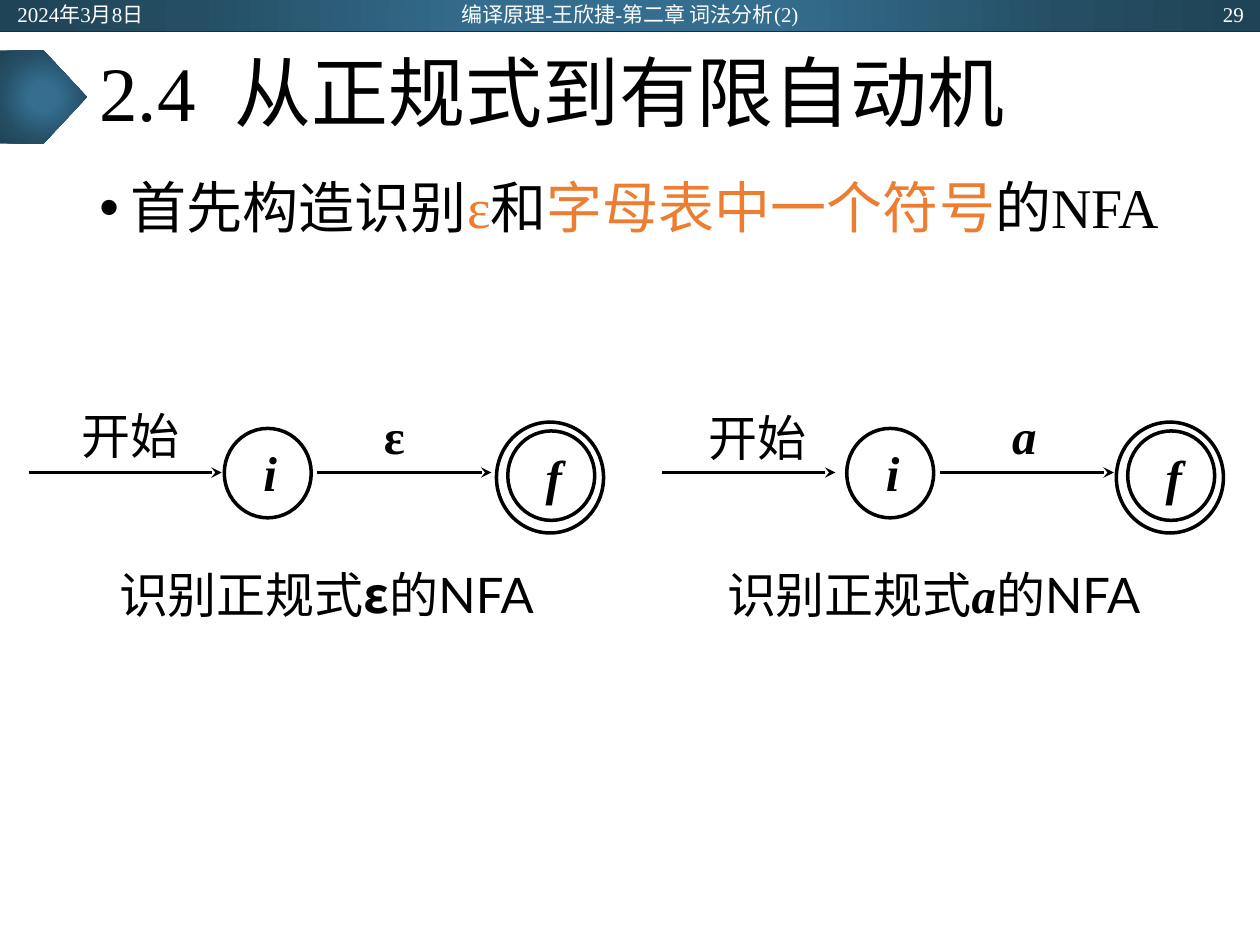
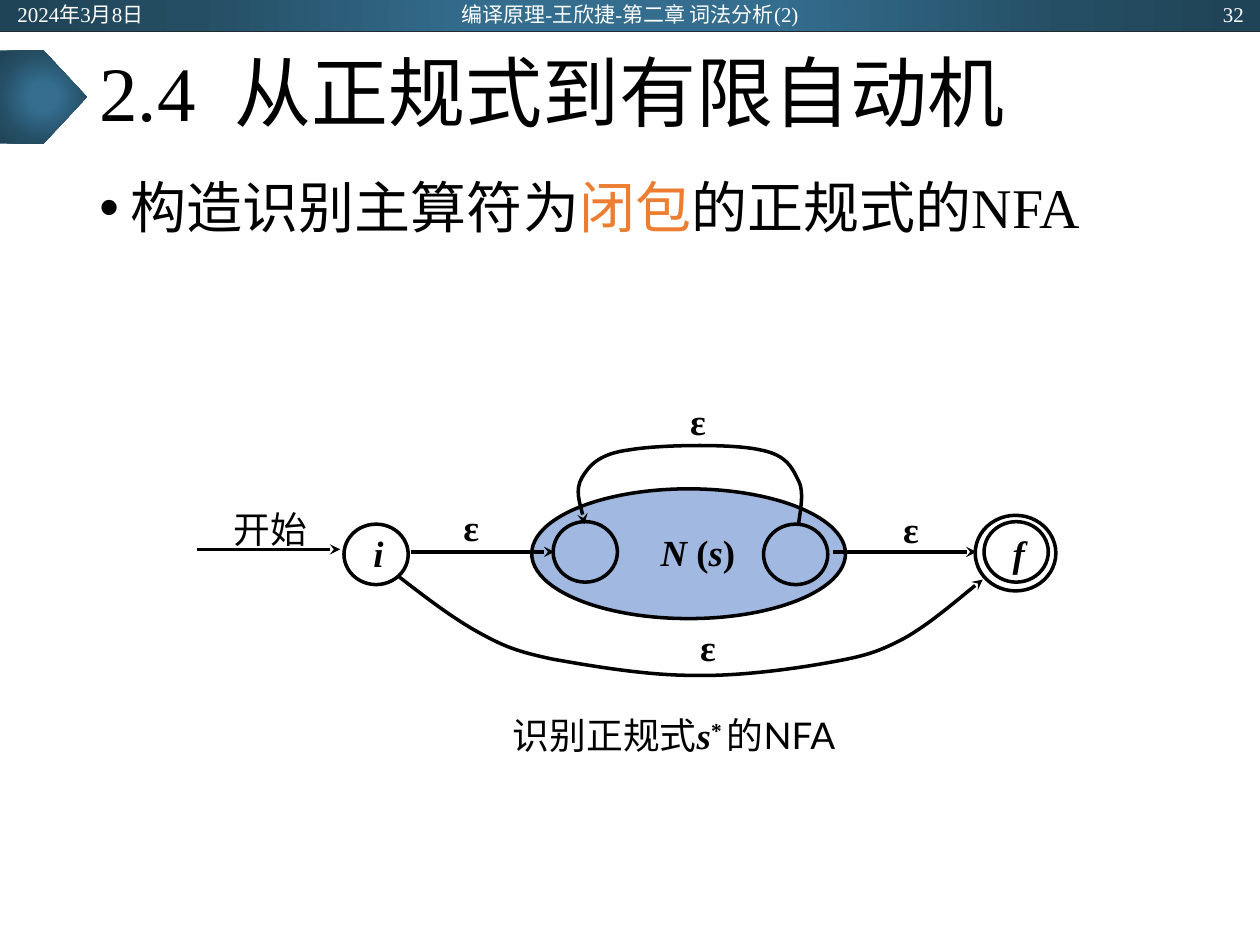
"""Build two lecture slides on turning regular expressions into automata."""
from dataclasses import dataclass

from lxml import etree
from pptx import Presentation
from pptx.dml.color import RGBColor
from pptx.enum.shapes import MSO_CONNECTOR, MSO_SHAPE
from pptx.enum.text import MSO_ANCHOR, PP_ALIGN
from pptx.oxml.ns import qn
from pptx.util import Inches, Pt

BLACK = RGBColor(0x00, 0x00, 0x00)
WHITE = RGBColor(0xFF, 0xFF, 0xFF)
ORANGE = RGBColor(0xED, 0x7D, 0x31)
BLUE = RGBColor(0x44, 0x72, 0xC4)
NAVY = RGBColor(0x22, 0x2A, 0x35)
BAND_STOPS = ((0, "346D8E"), (23, "346D8E"), (69, "254E64"), (97, "204457"))

SERIF = "Times New Roman"
CJK = "Noto Sans CJK SC"
LATO = "Lato"

LEFT, CENTER, RIGHT = PP_ALIGN.LEFT, PP_ALIGN.CENTER, PP_ALIGN.RIGHT
TOP, MIDDLE = MSO_ANCHOR.TOP, MSO_ANCHOR.MIDDLE
OVAL, RECTANGLE, PENTAGON = MSO_SHAPE.OVAL, MSO_SHAPE.RECTANGLE, MSO_SHAPE.PENTAGON
STRAIGHT = MSO_CONNECTOR.STRAIGHT

FRAME_INSETS = (0.1, 0.05, 0.1, 0.05)
LABEL_INSETS = (0.04, 0.02, 0.04, 0.02)
SYMBOL_INSETS = (0.06, 0.02, 0.07, 0.04)
START_INSETS = (0.06, 0.02, 0.02, 0.04)
FINAL_INSETS = (0.06, 0.02, 0.02, 0.01)


@dataclass(frozen=True)
class Span:
    """A stretch of text in one style."""

    text: str
    font: str = SERIF
    color: RGBColor = BLACK
    bold: bool = False
    italic: bool = False
    raised: bool = False
    spacing: int = 0


@dataclass(frozen=True)
class Area:
    """A rectangle in inches."""

    left: float
    top: float
    width: float
    height: float

    def lengths(self) -> tuple:
        """Return the rectangle as lengths."""
        return tuple(Inches(v) for v in (self.left, self.top, self.width, self.height))


@dataclass(frozen=True)
class Label:
    """A centred text of a diagram."""

    area: Area
    spans: tuple
    insets: tuple = LABEL_INSETS


@dataclass(frozen=True)
class Arrow:
    """A level arrow from left to right."""

    left: float
    right: float
    y: float


@dataclass(frozen=True)
class Automaton:
    """A basic automaton that accepts one symbol."""

    start_label: Area
    start_arrow: Arrow
    start_left: float
    final_left: float
    symbol_left: float
    caption_left: float
    symbol: Span
    caption_symbol: Span


TITLE = (Span("2.4"), Span(" ", spacing=1100), Span("从正规式到有限自动机"))
START = (Span("开始"),)
EPSILON = Span("ε", bold=True)
LETTER_A = Span("a", bold=True, italic=True)
CAPTION_HEAD = Span("识别正规式", CJK)
CAPTION_TAIL = (Span("的", CJK), Span("NFA", LATO))

AUTOMATA = (
    Automaton(Area(0.38, 3.12, 1.31, 0.67), Arrow(0.23, 1.76, 3.75),
              1.78, 3.94, 2.85, 0.03, EPSILON, Span("ε", CJK, bold=True)),
    Automaton(Area(5.37, 3.12, 1.29, 0.7), Arrow(5.25, 6.63, 3.75),
              6.72, 8.86, 7.85, 4.85, LETTER_A, LETTER_A),
)

CLOSURE_ARROWS = tuple(Arrow(left, left + 1.14, y)
                       for left, y in ((1.56, 4.36), (3.26, 4.38), (6.61, 4.38)))
EPSILON_PLACES = ((3.5, 3.97), (5.38, 4.92), (6.99, 3.99), (5.3, 3.13))
SKIP_CURVE = (
    (3.17, 4.58), (3.39, 4.75), (3.6, 4.91), (3.8, 5.02), (4, 5.13), (4.1, 5.17),
    (4.38, 5.23), (4.66, 5.28), (5.12, 5.36), (5.49, 5.36), (5.85, 5.37), (6.29, 5.31),
    (6.57, 5.26), (6.85, 5.21), (6.96, 5.18), (7.17, 5.07), (7.37, 4.96), (7.67, 4.7),
    (7.8, 4.6),
)
REPEAT_CURVE = (
    (6.34, 4.16), (6.34, 4.1), (6.39, 3.92), (6.34, 3.82), (6.29, 3.72), (6.25, 3.61),
    (6.03, 3.57), (5.81, 3.52), (5.23, 3.53), (5, 3.57), (4.76, 3.6), (4.68, 3.69),
    (4.62, 3.79), (4.56, 3.89), (4.63, 4.08), (4.64, 4.16),
)


def write(shape, spans: tuple, size: float, align=CENTER, insets: tuple = FRAME_INSETS,
          anchor=MIDDLE, line_spacing: float = 1.0):
    """Write one paragraph into a shape and return it."""
    frame = shape.text_frame
    frame.word_wrap = True
    frame.vertical_anchor = anchor
    (frame.margin_left, frame.margin_top,
     frame.margin_right, frame.margin_bottom) = map(Inches, insets)
    para = frame.paragraphs[0]
    para.alignment = align
    para.line_spacing = line_spacing
    for span in spans:
        run = para.add_run()
        run.text = span.text
        font = run.font
        font.name, font.size, font.color.rgb = span.font, Pt(size), span.color
        font.bold, font.italic = span.bold, span.italic
        properties = run._r.get_or_add_rPr()
        etree.SubElement(properties, qn("a:ea"), typeface=CJK)
        if span.raised:
            properties.set("baseline", "30000")
        if span.spacing:
            properties.set("spc", str(span.spacing))
    return para


def add_text(page, area: Area, spans: tuple, size: float, **style):
    """Add a text box with one paragraph and return the paragraph."""
    return write(page.shapes.add_textbox(*area.lengths()), spans, size, **style)


def add_label(page, label: Label, size: float) -> None:
    """Add a centred diagram label."""
    add_text(page, label.area, label.spans, size, insets=label.insets)


def add_tail(line) -> None:
    """Put an arrowhead on the end of a line."""
    etree.SubElement(line._get_or_add_ln(), qn("a:tailEnd"), type="stealth")


def add_line(page, arrow: Arrow, color: RGBColor = BLACK, width: float = 2,
             head: bool = True) -> None:
    """Add a level line, with or without an arrowhead."""
    y = Inches(arrow.y)
    line = page.shapes.add_connector(STRAIGHT, Inches(arrow.left), y, Inches(arrow.right), y)
    line.line.color.rgb = color
    line.line.width = Pt(width)
    if head:
        add_tail(line.line)
    etree.SubElement(line._element.spPr, qn("a:effectLst"))


def add_curve(page, points: tuple) -> None:
    """Add an arrow along cubic curves given by anchor and control points."""
    start, *rest = [(Inches(x), Inches(y)) for x, y in points]
    builder = page.shapes.build_freeform(*start)
    builder.add_line_segments(rest, close=False)
    curve = builder.convert_to_shape()
    outline = curve._element.spPr.find(".//" + qn("a:path"))
    segments = outline.findall(qn("a:lnTo"))
    for index in range(0, len(segments), 3):
        bend = etree.SubElement(outline, qn("a:cubicBezTo"))
        for segment in segments[index:index + 3]:
            bend.append(segment[0])
            outline.remove(segment)
    curve.shadow.inherit = False
    curve.fill.background()
    curve.line.color.rgb = BLACK
    curve.line.width = Pt(2)
    add_tail(curve.line)


def add_oval(page, area: Area):
    """Add an outlined ellipse and return it."""
    oval = page.shapes.add_shape(OVAL, *area.lengths())
    oval.shadow.inherit = False
    oval.fill.background()
    oval.line.color.rgb = BLACK
    oval.line.width = Pt(2)
    return oval


def add_state(page, area: Area, name: str, size: float, insets: tuple) -> None:
    """Add a named state circle."""
    write(add_oval(page, area), (Span(name, bold=True, italic=True),), size, insets=insets)


def add_band(page, kind, area: Area) -> None:
    """Add a shape with the radial band gradient."""
    band = page.shapes.add_shape(kind, *area.lengths())
    band.shadow.inherit = False
    band.line.fill.background()
    band.fill.gradient()
    gradient = band._element.spPr.find(qn("a:gradFill"))
    for child in list(gradient):
        gradient.remove(child)
    stops = etree.SubElement(gradient, qn("a:gsLst"))
    for position, color in BAND_STOPS:
        stop = etree.SubElement(stops, qn("a:gs"), pos=str(position * 1000))
        etree.SubElement(stop, qn("a:srgbClr"), val=color)
    radial = etree.SubElement(gradient, qn("a:path"), path="circle")
    etree.SubElement(radial, qn("a:fillToRect"), l="50000", t="50000", r="50000", b="50000")


def add_page(deck, number: str, topic: tuple):
    """Add a slide with band, title, bullet and header texts."""
    page = deck.slides.add_slide(deck.slide_layouts[6])
    add_band(page, RECTANGLE, Area(0, 0, 10, 0.25))
    add_line(page, Arrow(0, 10, 0.25), NAVY, 0.5, head=False)
    add_band(page, PENTAGON, Area(0, 0.4, 0.69, 0.74))
    add_text(page, Area(0.69, 0.25, 8.62, 1.04), TITLE, 44, align=LEFT, line_spacing=0.9)
    para = add_text(page, Area(0.69, 1.38, 8.62, 5.38), topic, 32, align=LEFT, anchor=TOP,
                    line_spacing=0.9)
    properties = para._p.get_or_add_pPr()
    properties.set("marL", str(Inches(0.25)))
    properties.set("indent", str(-Inches(0.25)))
    etree.SubElement(properties, qn("a:buFont"), typeface="Arial")
    etree.SubElement(properties, qn("a:buChar"), char="•")
    for left, width, align, text in (
            (0.04, 2.25, LEFT, "2024年3月8日"),
            (3.31, 3.38, CENTER, "编译原理-王欣捷-第二章 词法分析(2)"),
            (7.72, 2.25, RIGHT, number)):
        add_text(page, Area(left, 0.01, width, 0.2), (Span(text, color=WHITE),), 12, align=align)
    return page


def add_automaton(page, automaton: Automaton) -> None:
    """Draw a two-state automaton with its caption."""
    size = 28
    start, final = automaton.start_left, automaton.final_left
    add_line(page, automaton.start_arrow)
    add_line(page, Arrow(start + 0.74, start + 2.12, 3.75))
    add_state(page, Area(start, 3.4, 0.69, 0.71), "i", size, START_INSETS)
    add_oval(page, Area(final, 3.35, 0.85, 0.88))
    add_state(page, Area(final + 0.09, 3.42, 0.69, 0.71), "f", size, FINAL_INSETS)
    caption = (CAPTION_HEAD, automaton.caption_symbol, *CAPTION_TAIL)
    for label in (Label(automaton.start_label, START),
                  Label(Area(automaton.symbol_left, 3.17, 0.56, 0.57), (automaton.symbol,)),
                  Label(Area(automaton.caption_left, 4.42, 5.12, 0.59), caption)):
        add_label(page, label, size)


def add_closure(page) -> None:
    """Draw the automaton for the closure of an expression."""
    size = 21
    machine = add_oval(page, Area(4.22, 3.88, 2.49, 1.03))
    machine.fill.solid()
    machine.fill.fore_color.rgb = BLUE
    tint = machine._element.spPr.find(".//" + qn("a:solidFill"))[0]
    etree.SubElement(tint, qn("a:alpha"), val="50000")
    for area in (Area(4.39, 4.14, 0.51, 0.48), Area(6.06, 4.16, 0.51, 0.48),
                 Area(7.74, 4.09, 0.64, 0.6)):
        add_oval(page, area)
    add_state(page, Area(2.73, 4.16, 0.51, 0.48), "i", size, START_INSETS)
    add_state(page, Area(7.81, 4.14, 0.51, 0.48), "f", size, FINAL_INSETS)
    for arrow in CLOSURE_ARROWS:
        add_line(page, arrow)
    for points in (SKIP_CURVE, REPEAT_CURVE):
        add_curve(page, points)
    name = (Span("N ", bold=True, italic=True), Span("(", bold=True),
            Span("s", bold=True, italic=True), Span(")", bold=True))
    caption = (Span("识别正规式"), Span("s", bold=True, italic=True),
               Span("* ", bold=True, raised=True), *CAPTION_TAIL)
    epsilons = [Label(Area(left, top, 0.49, 0.44), (EPSILON,), SYMBOL_INSETS)
                for left, top in EPSILON_PLACES]
    for label in (Label(Area(5.11, 4.1, 0.87, 0.58), name, SYMBOL_INSETS),
                  Label(Area(1.73, 3.97, 0.83, 0.45), START),
                  Label(Area(3.44, 5.63, 3.82, 0.4), caption), *epsilons):
        add_label(page, label, size)


def main() -> None:
    """Build and save the deck."""
    deck = Presentation()
    deck.slide_width, deck.slide_height = Inches(10), Inches(7.5)
    page = add_page(deck, "29", (
        Span("首先构造识别", CJK), Span("ε", color=ORANGE), Span("和", CJK),
        Span("字母表中一个符号", CJK, ORANGE), Span("的", CJK), Span("NFA")))
    for automaton in AUTOMATA:
        add_automaton(page, automaton)
    page = add_page(deck, "32", (
        Span("构造识别主算符为", CJK), Span("闭包", CJK, ORANGE),
        Span("的正规式的", CJK), Span("NFA")))
    add_closure(page)
    deck.save("out.pptx")


if __name__ == "__main__":
    main()
